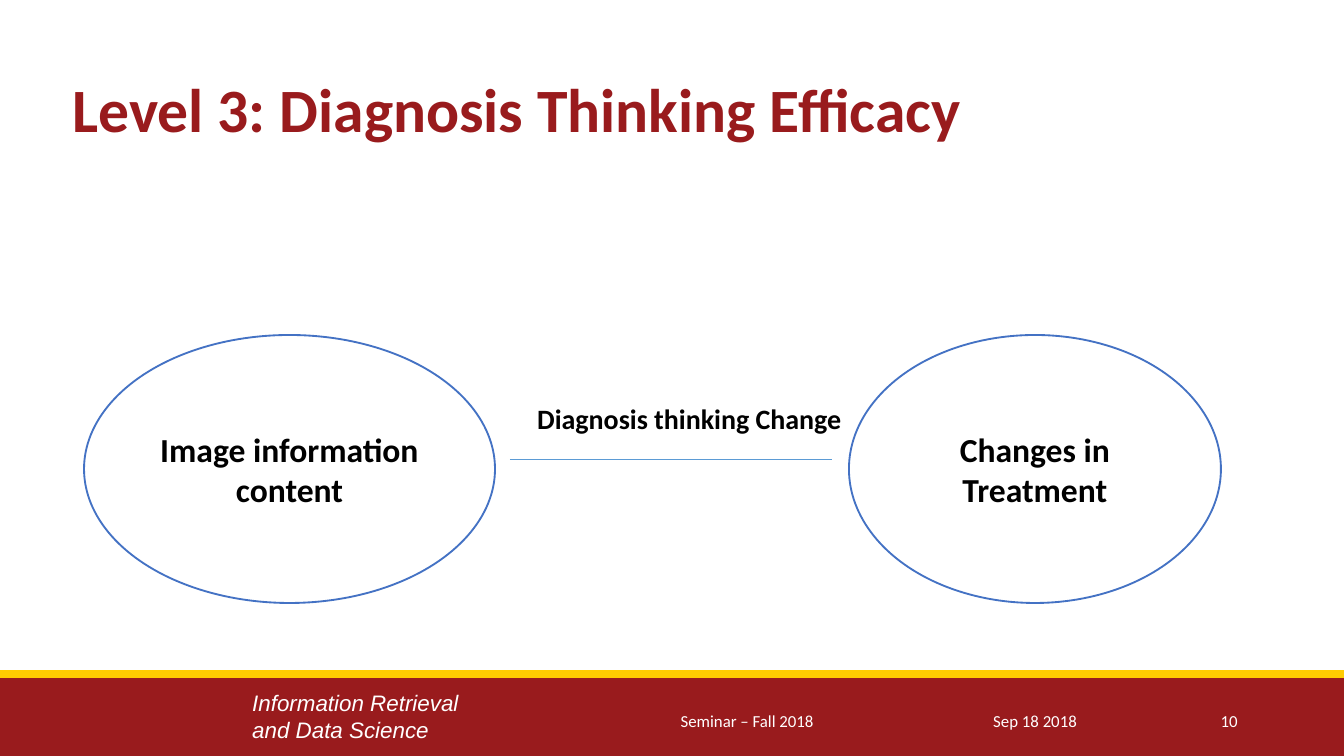
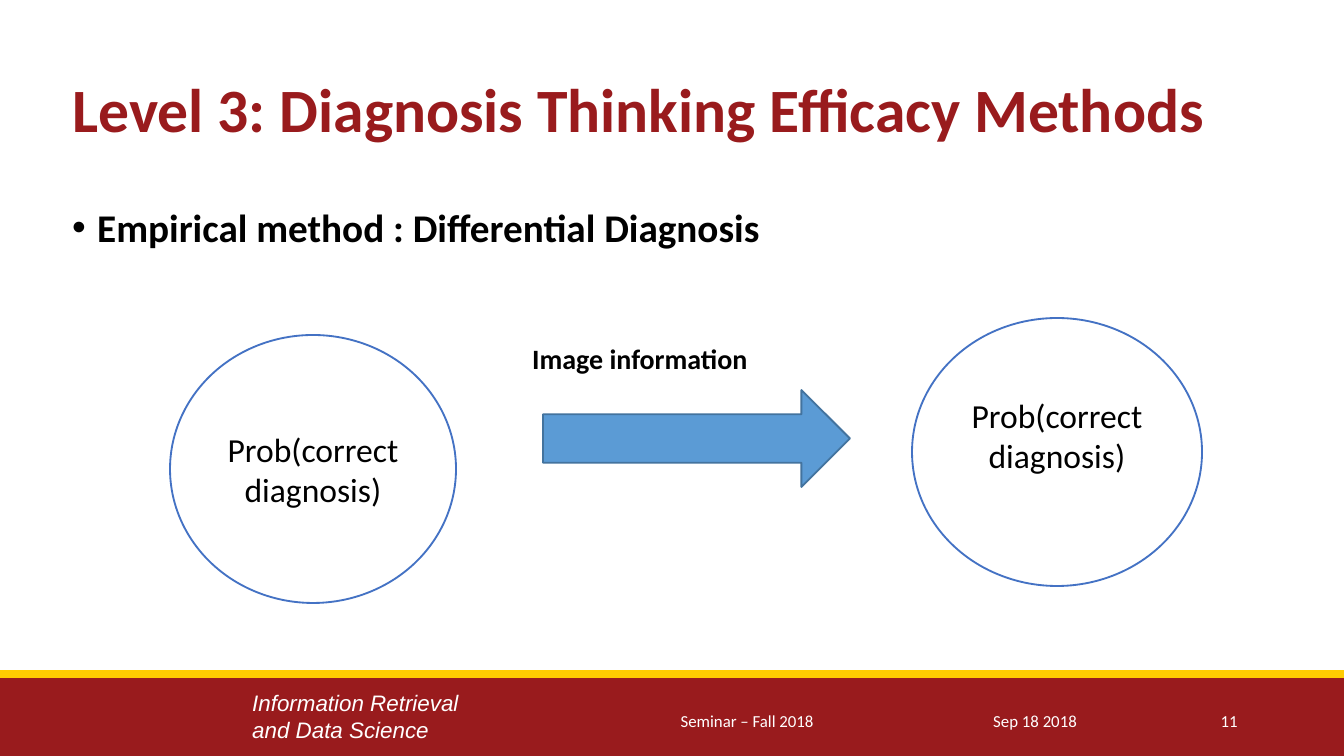
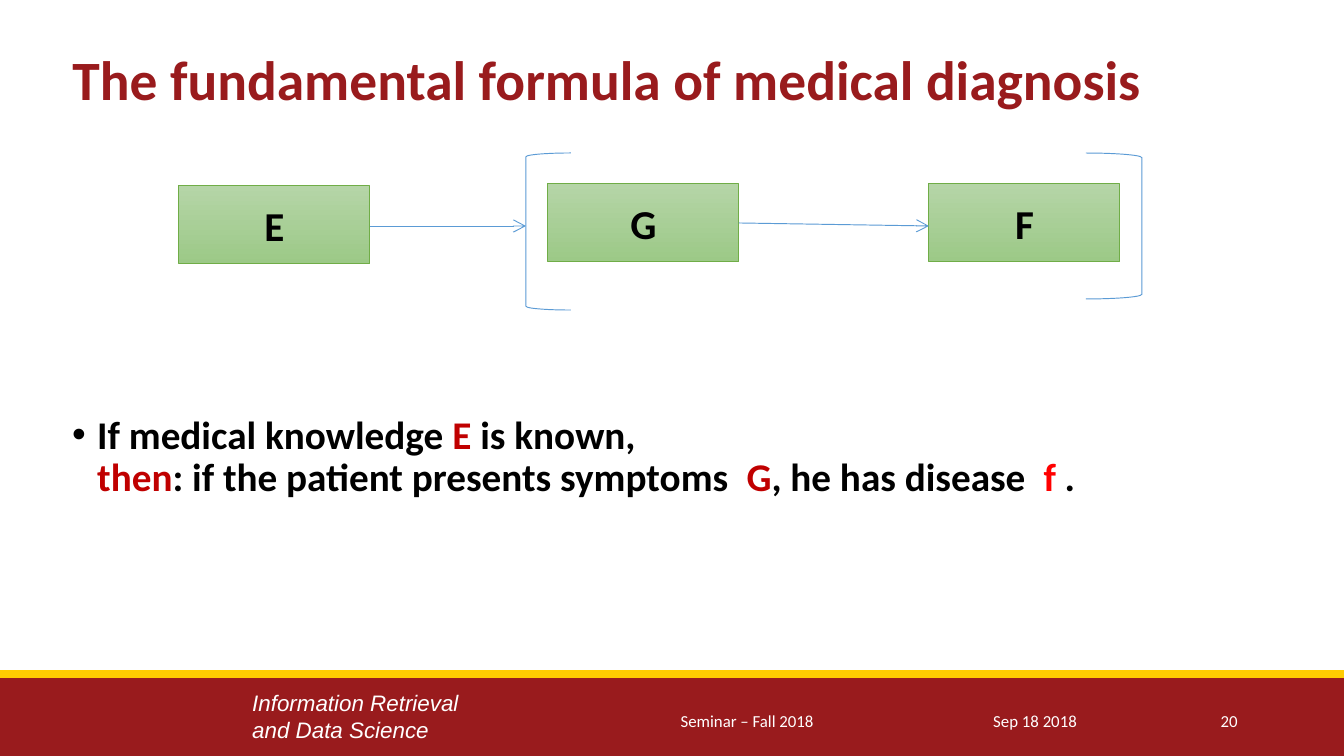
"""Build three slides on diagnosis thinking efficacy and the formula of medical diagnosis."""
from lxml import etree
from pptx import Presentation
from pptx.dml.color import RGBColor
from pptx.enum.shapes import MSO_CONNECTOR, MSO_SHAPE
from pptx.enum.text import MSO_ANCHOR, MSO_AUTO_SIZE, PP_ALIGN
from pptx.oxml.ns import qn
from pptx.util import Pt

EMU_PER_PIXEL = 9144000 / 1344
CARDINAL = RGBColor(0x99, 0x1B, 0x1D)
GOLD = RGBColor(0xFF, 0xCC, 0x01)
WHITE = RGBColor(0xFF, 0xFF, 0xFF)
BLACK = RGBColor(0, 0, 0)
DARK_RED = RGBColor(0xC0, 0, 0)
RED = RGBColor(0xFF, 0, 0)
OUTLINE_BLUE = RGBColor(0x44, 0x72, 0xC4)
BLUE = RGBColor(0x5B, 0x9B, 0xD5)
ARROW_EDGE = RGBColor(0x43, 0x73, 0x9E)
GREEN = RGBColor(0x70, 0xAD, 0x47)
LIGHT_GREEN = RGBColor(0xB5, 0xD5, 0xA7)
MID_GREEN = RGBColor(0x9C, 0xC9, 0x87)


def px(*lengths):
    return [round(length * EMU_PER_PIXEL) for length in lengths]


def write(shape, lines, size, color=BLACK, bold=False, italic=False, font="Calibri",
          align=PP_ALIGN.LEFT, anchor=MSO_ANCHOR.MIDDLE):
    frame = shape.text_frame
    frame.word_wrap = True
    frame.auto_size = MSO_AUTO_SIZE.NONE
    frame.vertical_anchor = anchor
    paragraph = frame.paragraphs[0]
    paragraph.alignment = align
    for number, line in enumerate(lines):
        if number:
            paragraph.add_line_break()
        for text, run_color in [(line, color)] if isinstance(line, str) else line:
            run = paragraph.add_run()
            run.text = text
            run.font.name, run.font.size = font, Pt(size)
            run.font.bold, run.font.italic = bold, italic
            run.font.color.rgb = run_color
    return paragraph


prs = Presentation()
prs.slide_width, prs.slide_height = px(1344, 756)

pages = [
    ("Level 3: Diagnosis Thinking Efficacy", 33, "10"),
    ("Level 3: Diagnosis Thinking Efficacy Methods", 33, "11"),
    ("The fundamental formula of medical diagnosis", 29.7, "20"),
]
slides = []
for title_text, title_size, page_number in pages:
    slide = prs.slides.add_slide(prs.slide_layouts[5])
    slides.append(slide)

    title = slide.shapes.title
    title.left, title.top, title.width, title.height = px(59, 40, 1192, 146)
    write(title, [title_text], title_size, CARDINAL, bold=True).line_spacing = 0.9

    band = slide.shapes.add_shape(MSO_SHAPE.RECTANGLE, *px(0, 674, 1344, 82))
    band.shadow.inherit = False
    band.fill.solid()
    band.fill.fore_color.rgb = CARDINAL
    band.line.fill.background()

    stripe = slide.shapes.add_connector(MSO_CONNECTOR.STRAIGHT, *px(0, 674, 1344, 674))
    stripe.line.color.rgb = GOLD
    stripe.line.width = Pt(4.5)
    etree.SubElement(stripe._element.spPr, qn("a:effectLst"))

    group_name = slide.shapes.add_textbox(*px(239, 683, 241, 67))
    write(group_name, ["Information Retrieval", "and Data Science"], 12, WHITE,
          italic=True, font="Arial", anchor=MSO_ANCHOR.TOP)
    for text, left, width, align in [
        ("Sep 18 2018", 980, 192, PP_ALIGN.LEFT),
        ("Seminar – Fall 2018", 556, 382, PP_ALIGN.CENTER),
        (page_number, 1183, 68, PP_ALIGN.RIGHT),
    ]:
        footer = slide.shapes.add_textbox(*px(left, 700, width, 41))
        write(footer, [text], 9, WHITE, align=align)

efficacy, methods, formula = slides
formula.shapes.title.text_frame.margin_bottom = px(68)[0]

bullets = [
    (methods, 202, 474, ["Empirical method : Differential Diagnosis"]),
    (formula, 409, 267, [
        [("If medical knowledge ", BLACK), ("E", DARK_RED), (" is known,", BLACK)],
        [("then", DARK_RED), (": if the patient presents symptoms  ", BLACK), ("G", DARK_RED),
         (", he has disease  ", BLACK), ("f", RED), (" .", BLACK)],
    ]),
]
for slide, top, height, lines in bullets:
    body = slide.shapes.add_textbox(*px(59, top, 1192, height))
    paragraph = write(body, lines, 21, bold=True, anchor=MSO_ANCHOR.TOP)
    paragraph.line_spacing = 0.9
    paragraph.space_before = Pt(7.5)
    properties = paragraph._p.get_or_add_pPr()
    indent = px(25)[0]
    properties.set("marL", str(indent))
    properties.set("indent", str(-indent))
    etree.SubElement(properties, qn("a:buFont")).set("typeface", "Arial")
    etree.SubElement(properties, qn("a:buChar")).set("char", "•")

ellipses = [
    (efficacy, "Image information content", 84, 335, 411, True, 7),
    (efficacy, "Changes in Treatment", 849, 335, 372, True, 7),
    (methods, "Prob(correct diagnosis)", 170, 335, 286, False, 7),
    (methods, "Prob(correct diagnosis)", 912, 318, 290, False, 41),
]
for slide, text, left, top, width, bold, bottom_margin in ellipses:
    ellipse = slide.shapes.add_shape(MSO_SHAPE.OVAL, *px(left, top, width, 268))
    ellipse.shadow.inherit = False
    ellipse.fill.solid()
    ellipse.fill.fore_color.rgb = WHITE
    ellipse.line.color.rgb = OUTLINE_BLUE
    ellipse.line.width = Pt(1)
    write(ellipse, [text], 18, bold=bold, align=PP_ALIGN.CENTER)
    ellipse.text_frame.margin_bottom = px(bottom_margin)[0]

information_arrow = methods.shapes.add_shape(MSO_SHAPE.RIGHT_ARROW, *px(543, 390, 307, 97))
information_arrow.shadow.inherit = False
information_arrow.fill.solid()
information_arrow.fill.fore_color.rgb = BLUE
information_arrow.line.color.rgb = ARROW_EDGE
information_arrow.line.width = Pt(1)

for slide, text, left, top in [
    (efficacy, "Diagnosis thinking Change", 524, 395),
    (methods, "Image information", 519, 335),
]:
    label = slide.shapes.add_textbox(*px(left, top, 349, 47))
    write(label, [text], 15, bold=True, anchor=MSO_ANCHOR.TOP)

for letter, left, top in [("E", 179, 186), ("G", 548, 184), ("F", 929, 184)]:
    box = formula.shapes.add_shape(MSO_SHAPE.RECTANGLE, *px(left, top, 191, 78))
    box.shadow.inherit = False
    box.fill.gradient()
    box.fill.gradient_angle = 270
    for stop, color in zip(box.fill.gradient_stops, (LIGHT_GREEN, MID_GREEN)):
        stop.color.rgb = color
    box.line.color.rgb = GREEN
    box.line.width = Pt(0.5)
    write(box, [letter], 22, bold=True, align=PP_ALIGN.CENTER)

links = [
    (efficacy, (510, 460, 832, 460), False),
    (formula, (370, 226, 526, 226), True),
    (formula, (739, 223, 929, 226), True),
]
for slide, ends, has_head in links:
    link = slide.shapes.add_connector(MSO_CONNECTOR.STRAIGHT, *px(*ends))
    link.line.color.rgb = BLUE
    link.line.width = Pt(0.5)
    if has_head:
        etree.SubElement(link.line._get_or_add_ln(), qn("a:tailEnd")).set("type", "arrow")
    etree.SubElement(link._element.spPr, qn("a:effectLst"))

for kind, left, width, height in [
    (MSO_SHAPE.LEFT_BRACKET, 526, 45, 157),
    (MSO_SHAPE.RIGHT_BRACKET, 1086, 56, 146),
]:
    bracket = formula.shapes.add_shape(kind, *px(left, 153, width, height))
    bracket.shadow.inherit = False
    bracket.fill.background()
    bracket.line.color.rgb = BLUE
    bracket.line.width = Pt(0.5)

prs.save("out.pptx")
